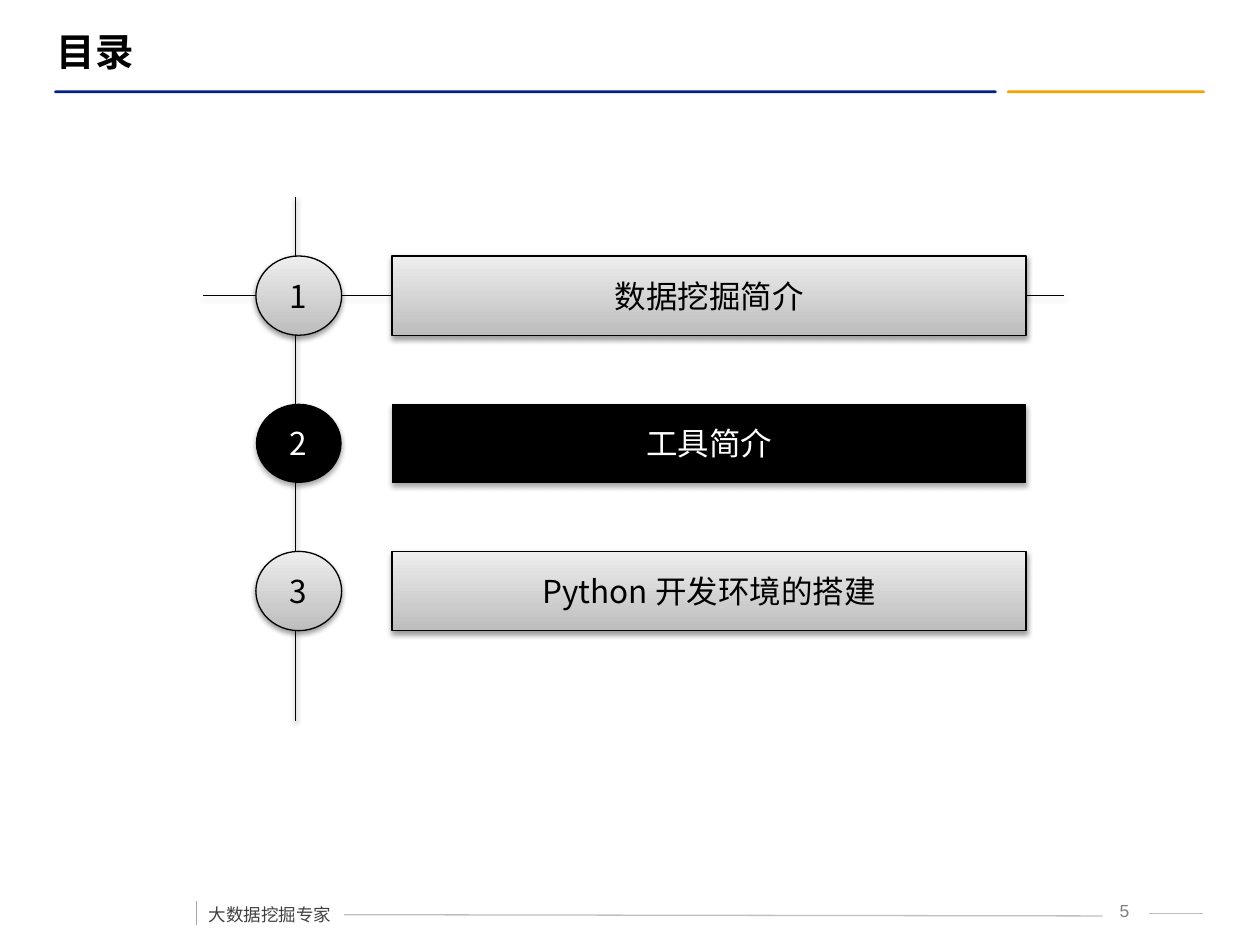
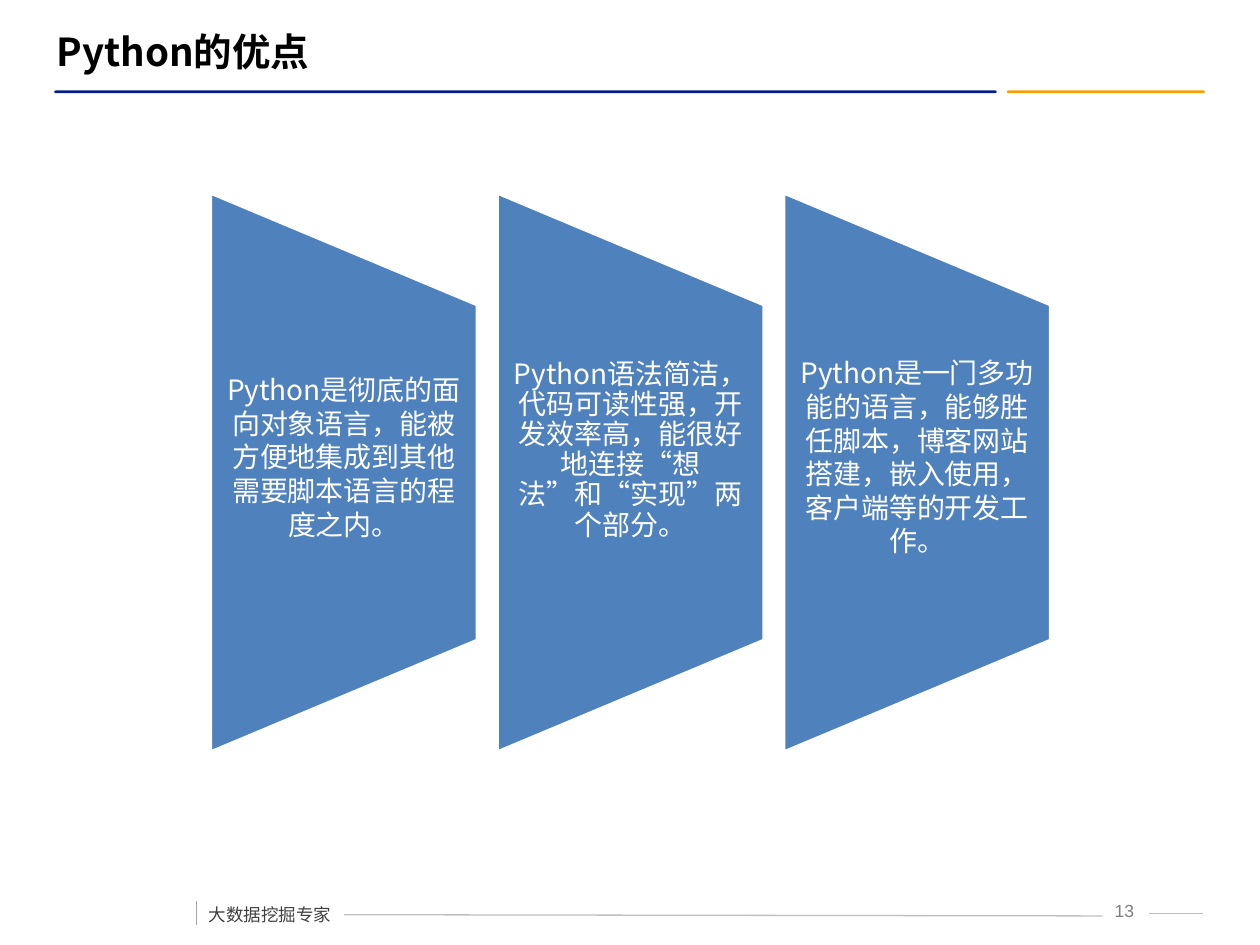
from lxml import etree
from pptx import Presentation
from pptx.dml.color import RGBColor
from pptx.enum.shapes import MSO_CONNECTOR, MSO_SHAPE
from pptx.enum.text import MSO_ANCHOR, MSO_AUTO_SIZE, PP_ALIGN
from pptx.oxml.ns import qn
from pptx.util import Pt

ROUND = MSO_SHAPE.ROUNDED_RECTANGLE
OVAL = MSO_SHAPE.OVAL
BUTTON = MSO_SHAPE.ACTION_BUTTON_CUSTOM
TRAPEZE = MSO_SHAPE.FLOWCHART_MANUAL_OPERATION
STRAIGHT = MSO_CONNECTOR.STRAIGHT
LEFT, CENTER = PP_ALIGN.LEFT, PP_ALIGN.CENTER
TOP, MIDDLE = MSO_ANCHOR.TOP, MSO_ANCHOR.MIDDLE
NO_FIT = MSO_AUTO_SIZE.NONE

AGENDA = {
    "title": "目录",
    "page": "5",
    "items": ["数据挖掘简介", "工具简介", "Python 开发环境的搭建"],
    "active": 1,
}
MERITS = {
    "title": "Python的优点",
    "page": "13",
    "items": [
        ("Python是彻底的面向对象语言，能被方便地集成到其他需要脚本语言的程度之内。", 1, 18),
        ("Python语法简洁，代码可读性强，开发效率高，能很好地连接“想法”和“实现”两个部分。", 0.9, 25),
        ("Python是一门多功能的语言，能够胜任脚本，博客网站搭建，嵌入使用，客户端等的开发工作。", 1, 18),
    ],
}
FOOTER = "大数据挖掘专家"


class Theme:
    font, digit = "Noto Sans CJK SC", "Arial"
    black, white = "000000", "FFFFFF"
    navy, orange, blue = "031D89", "F5A000", "4F81BD"
    dark, light = "BDBDBD", "EEEEEE"
    rule, tick, note, page = "BFBFBF", "A6A6A6", "404040", "7F7F7F"
    head, item, body, small = 22, 18, 16, 10
    thin, edge = 0.75, 2


BARS = [(31, 538.5, Theme.navy), (575.5, 113, Theme.orange)]
RULES = [
    (196.5, 522.7, 630, 523.4, Theme.rule),
    (656.6, 522, 687.6, 522, Theme.rule),
    (112.3, 514.8, 112.3, 528.5, Theme.tick),
]


def color(code):
    return RGBColor.from_string(code)


def effect(shape, alpha=None):
    props = shape._element.spPr
    for old in props.findall(qn("a:effectLst")):
        props.remove(old)
    node = etree.SubElement(props, qn("a:effectLst"))
    if alpha:
        glow = etree.SubElement(node, qn("a:outerShdw"), blurRad=str(Pt(3.1)),
                                dist=str(Pt(1.6)), dir="5400000", rotWithShape="0")
        tone = etree.SubElement(glow, qn("a:srgbClr"), val=Theme.black)
        etree.SubElement(tone, qn("a:alpha"), val=str(alpha * 1000))


def write(shape, text, size, tone, align=CENTER, anchor=MIDDLE, font=Theme.font, bold=False):
    frame = shape.text_frame
    frame.auto_size = NO_FIT
    frame.word_wrap = True
    frame.vertical_anchor = anchor
    frame.text = text
    para = frame.paragraphs[0]
    para.alignment = align
    for run in para.runs:
        run.font.name, run.font.size, run.font.bold = font, Pt(size), bold
        run.font.color.rgb = color(tone)
        etree.SubElement(run.font._element, qn("a:ea"), typeface=Theme.font)
    return frame


def label(slide, box, *args, **more):
    return write(slide.shapes.add_textbox(*map(Pt, box)), *args, **more)


def block(slide, kind, box, fill, edge=None, width=Theme.thin):
    shape = slide.shapes.add_shape(kind, *map(Pt, box))
    shape.shadow.inherit = False
    shape.fill.solid()
    shape.fill.fore_color.rgb = color(fill)
    if edge:
        shape.line.color.rgb = color(edge)
        shape.line.width = Pt(width)
    else:
        shape.line.fill.background()
    return shape


def rule(slide, ends, tone, alpha=None):
    line = slide.shapes.add_connector(STRAIGHT, *map(Pt, ends))
    line.line.color.rgb = color(tone)
    line.line.width = Pt(Theme.thin)
    effect(line, alpha)


def start(deck, data):
    slide = deck.slides.add_slide(deck.slide_layouts[5])
    title = slide.shapes.title
    title.left, title.top, title.width, title.height = map(Pt, (25.2, 12.2, 648, 34))
    write(title, data["title"], Theme.head, Theme.black, LEFT, bold=True)
    for left, width, tone in BARS:
        bar = block(slide, ROUND, (left, 51.7, width, 1.5), tone)
        bar.adjustments[0] = 0.5
    for *ends, tone in RULES:
        rule(slide, ends, tone)
    label(slide, (625.5, 510.5, 34, 18), data["page"], Theme.small, Theme.page,
          anchor=TOP, font=Theme.digit)
    foot = label(slide, (112.3, 507, 88.6, 26.6), FOOTER, Theme.small, Theme.note, LEFT, TOP)
    foot.paragraphs[0].line_spacing = 1.5
    foot.paragraphs[0].space_before = Pt(6)
    return slide


def agenda(deck, data):
    slide = start(deck, data)
    rule(slide, (168.7, 112.5, 168.7, 412), Theme.black, 38)
    rule(slide, (116, 168.7, 608, 168.7), Theme.black, 38)
    top, step, high = 146.3, 84.4, 45.3
    for i, text in enumerate(data["items"]):
        live = i == data["active"]
        parts = [(OVAL, 146.2, 49, str(i + 1)), (BUTTON, 224, 362.3, text)]
        for kind, left, width, words in parts:
            box = (left, top + i * step, width, high)
            shape = block(slide, kind, box, Theme.black, None if live else Theme.black)
            if not live:
                shape.fill.gradient()
                shape.fill.gradient_angle = 90
                for stop, tone in zip(shape.fill.gradient_stops, (Theme.dark, Theme.light)):
                    stop.color.rgb = color(tone)
            effect(shape, 35 if live else 38)
            write(shape, words, Theme.item, Theme.white if live else Theme.black)


def merits(deck, data):
    slide = start(deck, data)
    left, step, mid = 120.2, 163.8, 270
    wide, tall, high = 152.6, 319.7, 192
    for i, (text, gap, base) in enumerate(data["items"]):
        x = left + i * step
        box = (x + (wide - tall) / 2, mid - wide / 2, tall, wide)
        shape = block(slide, TRAPEZE, box, Theme.blue, Theme.white, Theme.edge)
        shape.rotation = 270
        frame = label(slide, (x, mid - high / 2, wide, high), text, Theme.body, Theme.white)
        frame.margin_left = frame.margin_right = Pt(8)
        frame.margin_top, frame.margin_bottom = 0, Pt(base)
        frame.paragraphs[0].line_spacing = gap


def main():
    deck = Presentation()
    deck.slide_width, deck.slide_height = Pt(720), Pt(540)
    agenda(deck, AGENDA)
    merits(deck, MERITS)
    deck.save("out.pptx")


if __name__ == "__main__":
    main()
